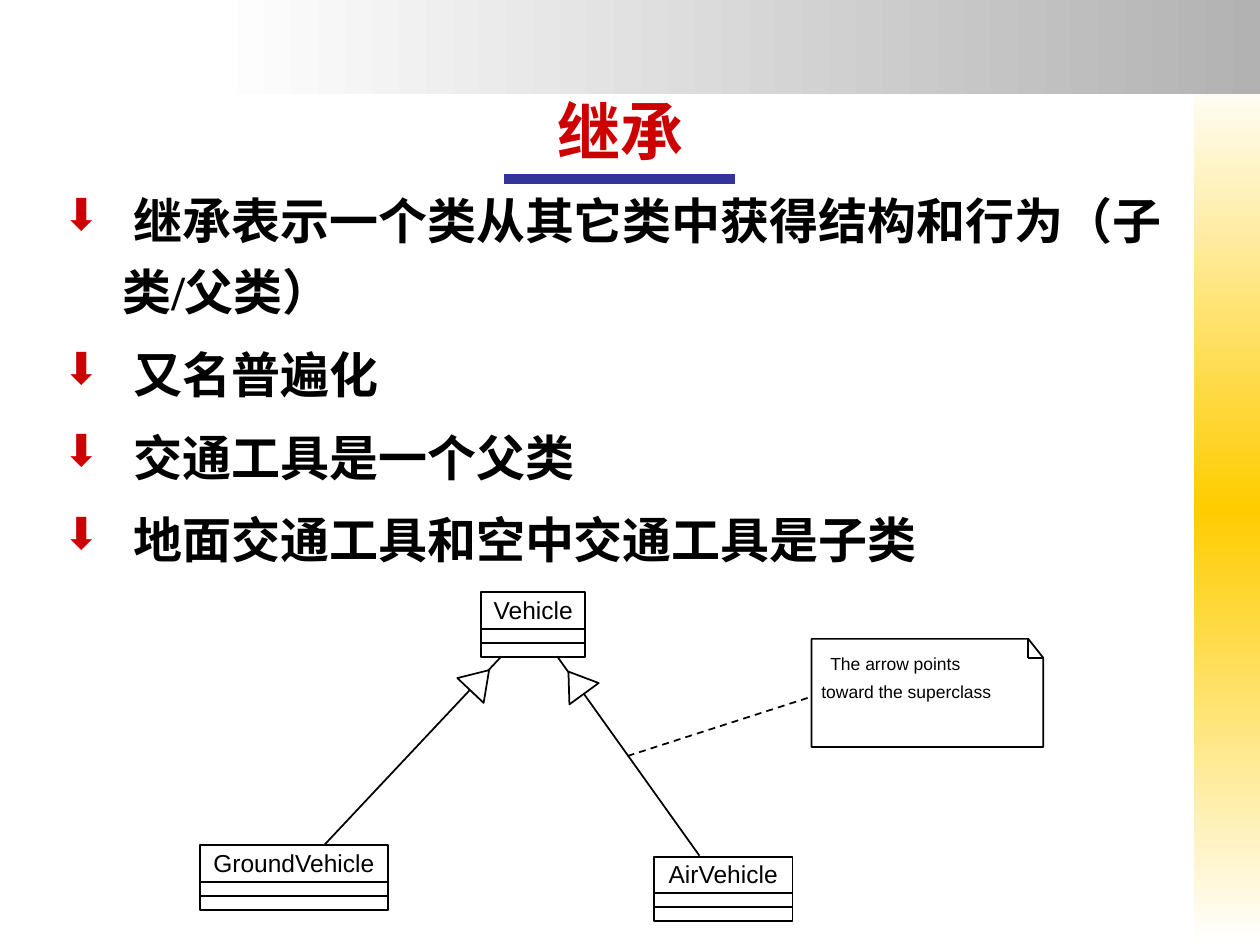
"""Build a slide on class inheritance with a small UML diagram."""
from dataclasses import dataclass
from itertools import pairwise

from lxml import etree
from pptx import Presentation
from pptx.dml.color import RGBColor
from pptx.enum.dml import MSO_LINE
from pptx.enum.shapes import MSO_CONNECTOR, MSO_SHAPE
from pptx.enum.text import MSO_ANCHOR, PP_ALIGN
from pptx.oxml import parse_xml
from pptx.oxml.ns import nsdecls, qn
from pptx.util import Cm, Pt

Point = tuple[float, float]


@dataclass(frozen=True)
class Theme:
    ink: str = "000000"
    paper: str = "FFFFFF"
    accent: str = "CC0000"
    rule: str = "333399"
    gold: str = "FFCC00"
    grey: str = "B2B2B2"
    heading_font: str = "Times New Roman"
    diagram_font: str = "Arial"
    title_size: int = 36
    body_size: int = 28
    class_size: int = 14
    note_size: int = 10


@dataclass(frozen=True)
class Band:
    left: float
    top: float
    width: float
    height: float
    angle: int
    colors: tuple[str, ...]


@dataclass(frozen=True)
class UmlClass:
    name: str
    left: float
    top: float
    width: float


@dataclass(frozen=True)
class Generalization:
    subclass_end: Point
    superclass_end: Point
    arrow: tuple[Point, ...]


@dataclass(frozen=True)
class NoteLine:
    text: str
    left: float
    top: float


THEME = Theme()
CLASS_HEIGHT = 1.3
DIVIDERS = (0.74, 1.02)
BANDS = (
    Band(24.08, 1.47, 1.32, 17.58, 90, (THEME.paper, THEME.gold, THEME.paper)),
    Band(4.24, 0, 21.16, 1.9, 180, (THEME.grey, THEME.paper)),
)
POINTS = (
    " 继承表示一个类从其它类中获得结构和行为（子类/父类）",
    " 又名普遍化",
    " 交通工具是一个父类",
    " 地面交通工具和空中交通工具是子类",
)
CLASSES = (
    UmlClass("Vehicle", 9.7, 11.94, 2.1),
    UmlClass("GroundVehicle", 4.03, 17.04, 3.79),
    UmlClass("AirVehicle", 13.18, 17.27, 2.8),
)
GENERALIZATIONS = (
    Generalization((6.55, 17.02), (10.11, 13.23),
                   ((9.86, 13.51), (9.75, 14.17), (9.22, 13.67))),
    Generalization((14.1, 17.25), (11.23, 13.23),
                   ((11.46, 13.54), (12.07, 13.77), (11.48, 14.2))),
)
NOTE_OUTLINE = ((16.36, 12.88), (20.73, 12.88), (21.03, 13.26), (21.03, 15.06), (16.36, 15.06))
NOTE_FOLD = ((20.73, 12.88), (20.73, 13.26), (21.03, 13.26))
NOTE_LINES = (
    NoteLine("The arrow points", 16.74, 13.16),
    NoteLine("toward the superclass", 16.56, 13.72),
)


def rgb(color: str) -> RGBColor:
    return RGBColor.from_string(color)


def style_font(font, name: str, size: int, color: str, bold: bool = False) -> None:
    font.name, font.size, font.bold = name, Pt(size), bold
    font.color.rgb = rgb(color)


def add_text_area(slide, left: float, top: float, width: float, height: float):
    frame = slide.shapes.add_textbox(Cm(left), Cm(top), Cm(width), Cm(height)).text_frame
    frame.margin_left = frame.margin_top = frame.margin_right = frame.margin_bottom = 0
    return frame


def draw_band(slide, band: Band) -> None:
    strip = slide.shapes.add_shape(
        MSO_SHAPE.RECTANGLE, Cm(band.left), Cm(band.top), Cm(band.width), Cm(band.height))
    strip.shadow.inherit = False
    strip.line.fill.background()
    strip.fill.background()
    step = 100000 // (len(band.colors) - 1)
    stops = "".join(f'<a:gs pos="{i * step}"><a:srgbClr val="{color}"/></a:gs>'
                    for i, color in enumerate(band.colors))
    gradient = parse_xml(f'<a:gradFill {nsdecls("a")} rotWithShape="1"><a:gsLst>{stops}</a:gsLst>'
                         f'<a:lin ang="{band.angle * 60000}" scaled="0"/></a:gradFill>')
    properties = strip.element.spPr
    properties.replace(properties.find(qn("a:noFill")), gradient)


def draw_line(slide, start: Point, end: Point, color: str = THEME.ink,
              weight: float = 1, dashed: bool = False) -> None:
    connector = slide.shapes.add_connector(
        MSO_CONNECTOR.STRAIGHT, *(Cm(value) for value in start + end))
    connector.line.color.rgb = rgb(color)
    connector.line.width = Pt(weight)
    if dashed:
        connector.line.dash_style = MSO_LINE.DASH
    etree.SubElement(connector.element.spPr, qn("a:effectLst"))


def draw_outline(slide, corners: tuple[Point, ...], closed: bool = True,
                 fill: str | None = None) -> None:
    (start_x, start_y), *others = [(Cm(x), Cm(y)) for x, y in corners]
    builder = slide.shapes.build_freeform(start_x, start_y)
    builder.add_line_segments(others, close=closed)
    outline = builder.convert_to_shape()
    outline.shadow.inherit = False
    outline.line.color.rgb = rgb(THEME.ink)
    outline.line.width = Pt(1)
    if fill:
        outline.fill.solid()
        outline.fill.fore_color.rgb = rgb(fill)
    else:
        outline.fill.background()


def draw_title(slide, text: str) -> None:
    frame = add_text_area(slide, 1.07, 1.27, 22.86, 2.11)
    frame.word_wrap = True
    frame.vertical_anchor = MSO_ANCHOR.BOTTOM
    frame.text = text
    heading = frame.paragraphs[0]
    heading.alignment = PP_ALIGN.CENTER
    style_font(heading.runs[0].font, THEME.heading_font, THEME.title_size, THEME.accent, True)


def draw_points(slide, points: tuple[str, ...]) -> None:
    frame = add_text_area(slide, 1.27, 3.61, 22.66, 7.85)
    frame.word_wrap = True
    frame.text = "\n".join(points)
    for index, point in enumerate(frame.paragraphs):
        properties = point._p.get_or_add_pPr()
        properties.set("marL", str(Cm(1.2)))
        properties.set("indent", str(-Cm(1.2)))
        for bullet in (f'<a:buClr {nsdecls("a")}><a:srgbClr val="{THEME.accent}"/></a:buClr>',
                       f'<a:buSzPct {nsdecls("a")} val="90000"/>',
                       f'<a:buChar {nsdecls("a")} char="⬇"/>'):
            properties.append(parse_xml(bullet))
        point.line_spacing = 1.2
        if index:
            point.space_before = Pt(7)
        style_font(point.runs[0].font, THEME.heading_font, THEME.body_size, THEME.ink, True)


def draw_class(slide, uml: UmlClass) -> None:
    box = slide.shapes.add_shape(
        MSO_SHAPE.RECTANGLE, Cm(uml.left), Cm(uml.top), Cm(uml.width), Cm(CLASS_HEIGHT))
    box.shadow.inherit = False
    box.fill.background()
    box.line.color.rgb = rgb(THEME.ink)
    box.line.width = Pt(1)
    frame = box.text_frame
    frame.word_wrap = False
    frame.vertical_anchor = MSO_ANCHOR.TOP
    frame.margin_top = Cm(0.05)
    frame.text = uml.name
    frame.paragraphs[0].alignment = PP_ALIGN.CENTER
    style_font(frame.paragraphs[0].runs[0].font, THEME.diagram_font, THEME.class_size, THEME.ink)
    for offset in DIVIDERS:
        level = uml.top + offset
        draw_line(slide, (uml.left, level), (uml.left + uml.width, level))


def draw_generalization(slide, link: Generalization) -> None:
    draw_line(slide, link.subclass_end, link.superclass_end)
    draw_outline(slide, link.arrow, fill=THEME.paper)


def draw_note(slide) -> None:
    draw_line(slide, (12.65, 15.24), (16.28, 14.07), dashed=True)
    draw_outline(slide, NOTE_OUTLINE)
    for start, end in pairwise(NOTE_FOLD):
        draw_line(slide, start, end)
    for line in NOTE_LINES:
        frame = add_text_area(slide, line.left, line.top, 3.6, 0.42)
        frame.word_wrap = False
        frame.text = line.text
        style_font(frame.paragraphs[0].runs[0].font, THEME.diagram_font, THEME.note_size, THEME.ink)


def main() -> None:
    deck = Presentation()
    deck.slide_width, deck.slide_height = Cm(25.4), Cm(19.05)
    slide = deck.slides.add_slide(deck.slide_layouts[6])
    for band in BANDS:
        draw_band(slide, band)
    draw_title(slide, "继承")
    draw_points(slide, POINTS)
    for uml in CLASSES:
        draw_class(slide, uml)
    for link in GENERALIZATIONS:
        draw_generalization(slide, link)
    draw_note(slide)
    draw_line(slide, (10.16, 3.61), (14.81, 3.61), THEME.rule, 5.5)
    deck.save("out.pptx")


if __name__ == "__main__":
    main()
